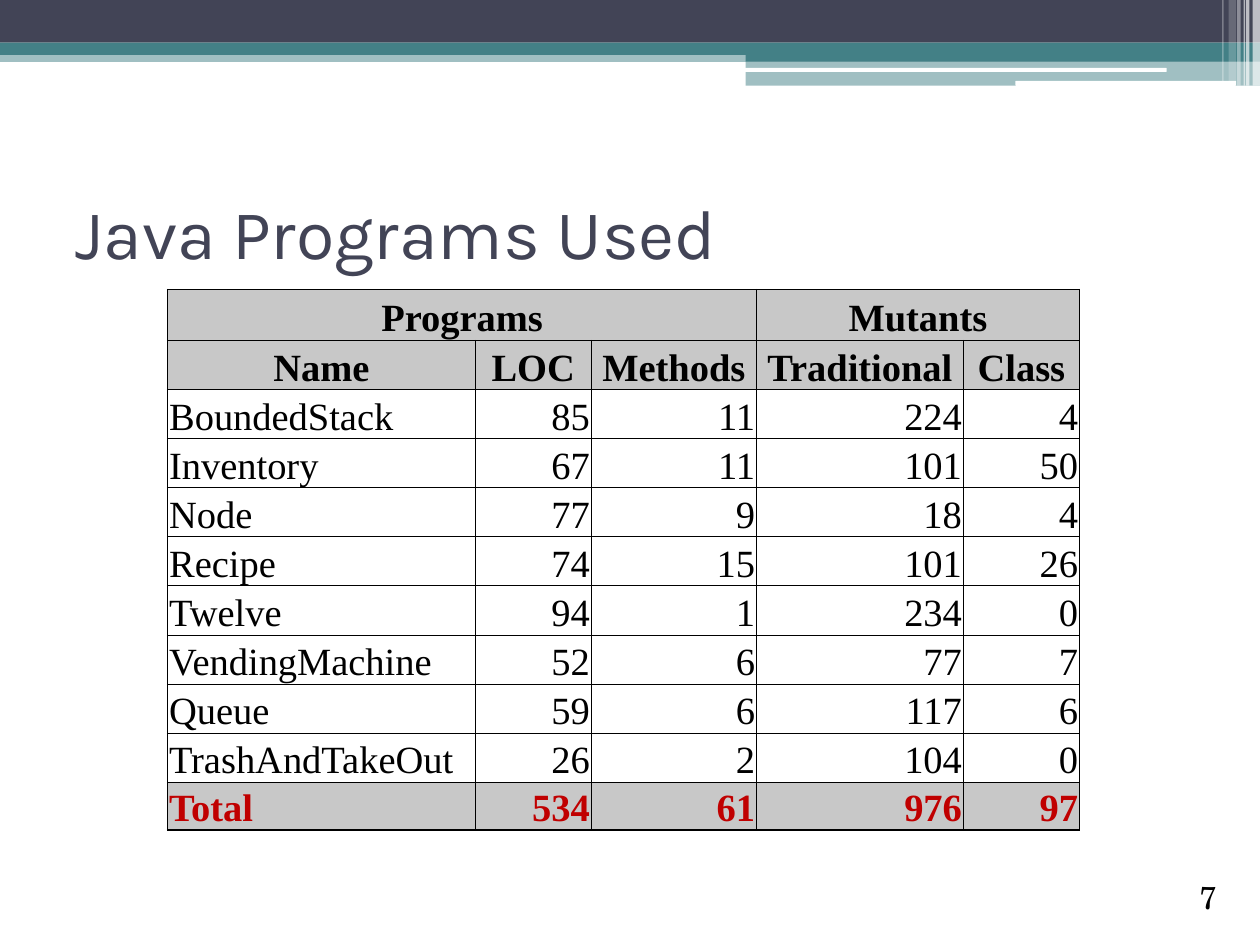
from lxml import etree
from pptx import Presentation
from pptx import util as u
from pptx.dml.color import RGBColor
from pptx.enum import shapes, text
from pptx.oxml.ns import qn

NAVY, TEAL, WHITE, BLACK = "424456", "438086", "FFFFFF", "000000"
GREY, RED = "C8C8C8", "C00000"
RECT = shapes.MSO_SHAPE.RECTANGLE
ROUND = shapes.MSO_SHAPE.ROUNDED_RECTANGLE
LEFT, MID, RIGHT = text.PP_ALIGN.LEFT, text.PP_ALIGN.CENTER, text.PP_ALIGN.RIGHT

# left, top, width, height in cm; colour, opacity in percent, shape
BARS = [
    (0, 1.02, 25.4, 0.23, TEAL, 50, RECT),
    (0, 0, 25.4, 0.86, NAVY, 100, RECT),
    (0, 0.86, 25.4, 0.25, TEAL, 100, RECT),
    (15.03, 0.99, 10.37, 0.25, TEAL, 100, RECT),
    (15.03, 1.23, 10.37, 0.5, TEAL, 50, RECT),
    (15.01, 1.37, 8.51, 0.08, WHITE, 100, ROUND),
    (20.47, 1.63, 4.45, 0.1, WHITE, 100, ROUND),
]
# left, width, height in cm; opacity in percent
GLINTS = [
    (25.25, 0.15, 1.73, 65),
    (25.12, 0.07, 1.73, 65),
    (25.07, 0.03, 1.73, 60),
    (24.94, 0.07, 1.73, 40),
    (24.77, 0.15, 1.63, 20),
    (24.64, 0.03, 1.63, 30),
]
COLS = [6.2, 2.34, 3.33, 4.17, 2.34]
ROWS = [1.02] + [0.99] * 9 + [0.89]
DATA = [
    ["Programs", "", "", "Mutants", ""],
    ["Name", "LOC", "Methods", "Traditional", "Class"],
    ["BoundedStack", 85, 11, 224, 4],
    ["Inventory", 67, 11, 101, 50],
    ["Node", 77, 9, 18, 4],
    ["Recipe", 74, 15, 101, 26],
    ["Twelve", 94, 1, 234, 0],
    ["VendingMachine", 52, 6, 77, 7],
    ["Queue", 59, 6, 117, 6],
    ["TrashAndTakeOut", 26, 2, 104, 0],
    ["Total", 534, 61, 976, 97],
]


def paint(fill, hue, alpha=100):
    fill.solid()
    fill.fore_color.rgb = RGBColor.from_string(hue)
    if alpha < 100:
        node = next(fill.fore_color._xFill.iter(qn("a:srgbClr")))
        etree.SubElement(node, qn("a:alpha"), val=str(alpha * 1000))


def style(para, face, size, hue, bold=False, align=LEFT):
    font = para.font
    font.name, font.size, font.bold = face, u.Pt(size), bold
    font.color.rgb = RGBColor.from_string(hue)
    para.alignment = align


def bar(slide, left, top, width, height, hue, alpha, form):
    shape = slide.shapes.add_shape(
        form, u.Cm(left), u.Cm(top), u.Cm(width), u.Cm(height))
    shape.shadow.inherit = False
    shape.line.fill.background()
    paint(shape.fill, hue, alpha)


def label(slide, words, box, face, size, hue, anchor):
    frame = slide.shapes.add_textbox(*map(u.Cm, box)).text_frame
    frame.word_wrap = True
    frame.vertical_anchor = anchor
    frame.text = words
    style(frame.paragraphs[0], face, size, hue)


def edge(cell, sides):
    """Draw the cell's borders; sides maps L, R, T, B to points."""
    props = cell._tc.get_or_add_tcPr()
    for spot, (side, width) in enumerate(sides.items()):
        line = etree.Element(qn(f"a:ln{side}"), w=str(u.Pt(width)))
        solid = etree.SubElement(line, qn("a:solidFill"))
        etree.SubElement(solid, qn("a:srgbClr"), val=BLACK)
        props.insert(spot, line)


def fill_cell(cell, row, col):
    head, total = row < 2, row == len(ROWS) - 1
    cell.margin_left = cell.margin_right = cell.margin_top = u.Cm(0.03)
    cell.margin_bottom = 0
    cell.vertical_anchor = text.MSO_ANCHOR.BOTTOM
    cell.text = str(DATA[row][col])
    align = MID if head else RIGHT if col else LEFT
    style(cell.text_frame.paragraphs[0], "Times New Roman", 22,
          RED if total else BLACK, head or total, align)
    if head or total:
        paint(cell.fill, GREY)
    else:
        cell.fill.background()
    outer = {"L": col == 0, "R": col == len(COLS) - 1, "T": row == 0, "B": total}
    edge(cell, {side: 1 if out else 0.5 for side, out in outer.items()})


def grid(slide, left, top):
    table = slide.shapes.add_table(
        len(ROWS), len(COLS), u.Cm(left), u.Cm(top),
        u.Cm(sum(COLS)), u.Cm(sum(ROWS))).table
    table.horz_banding = table.first_row = False
    for col, width in zip(table.columns, COLS):
        col.width = u.Cm(width)
    for row, height in zip(table.rows, ROWS):
        row.height = u.Cm(height)
    for row in range(len(ROWS)):
        for col in range(len(COLS)):
            fill_cell(table.cell(row, col), row, col)
    for first, last in [(0, 2), (3, 4)]:
        table.cell(0, first).merge(table.cell(0, last))


def main():
    deck = Presentation()
    deck.slide_width, deck.slide_height = u.Cm(25.4), u.Cm(19.05)
    slide = deck.slides.add_slide(deck.slide_layouts[6])
    for item in BARS:
        bar(slide, *item)
    for left, width, height, alpha in GLINTS:
        bar(slide, left, 0, width, height, WHITE, alpha, RECT)
    label(slide, "Java Programs Used", (1.27, 3.18, 22.86, 2.97),
          "Karla", 40, NAVY, text.MSO_ANCHOR.MIDDLE)
    grid(slide, 3.38, 5.84)
    label(slide, "7", (23.93, 17.58, 1.47, 1.02),
          "TeX Gyre Schola", 18, BLACK, text.MSO_ANCHOR.TOP)
    deck.save("out.pptx")


if __name__ == "__main__":
    main()
